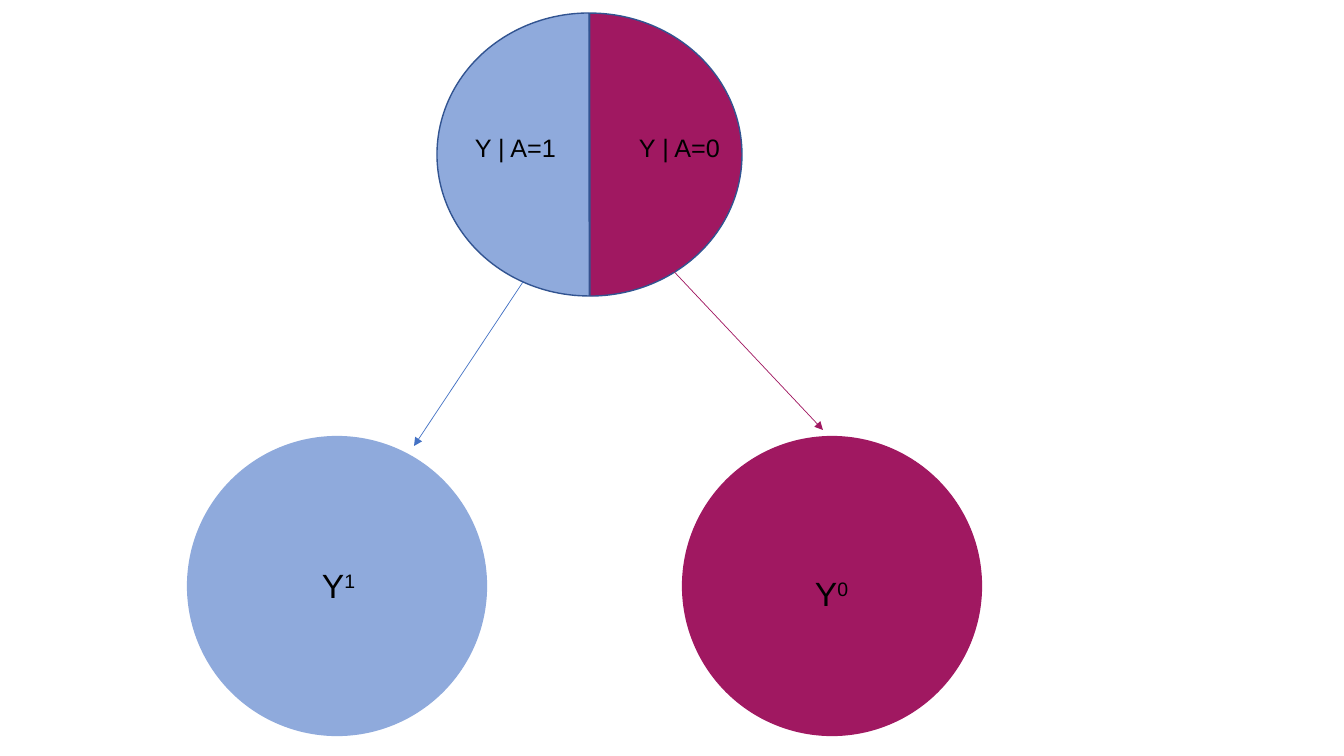
from lxml import etree
from pptx import Presentation
from pptx.dml.color import RGBColor
from pptx.enum.shapes import MSO_CONNECTOR, MSO_SHAPE
from pptx.enum.text import MSO_AUTO_SIZE
from pptx.oxml.ns import qn
from pptx.util import Emu, Pt

CHORD, OVAL = MSO_SHAPE.CHORD, MSO_SHAPE.OVAL
STRAIGHT = MSO_CONNECTOR.STRAIGHT
FIT_SHAPE = MSO_AUTO_SIZE.SHAPE_TO_FIT_TEXT

BLANK_LAYOUT = 6
EMU_PER_PX = 914400 / 100.8
BLUE, MAGENTA = "8FAADC", "A01861"
OUTLINE, ARROW_BLUE, BLACK = "325491", "4472C4", "000000"
HALF_CIRCLE = (53.92, 162)


def px(length):
    return Emu(round(length * EMU_PER_PX))


def color(hex_string):
    return RGBColor.from_string(hex_string)


def add_filled_shape(slide, kind, box, fill, line, line_width):
    shape = slide.shapes.add_shape(kind, *map(px, box))
    shape.shadow.inherit = False
    shape.fill.solid()
    shape.fill.fore_color.rgb = color(fill)
    shape.line.color.rgb = color(line)
    shape.line.width = Pt(line_width)
    return shape


def add_half(slide, left, fill, rotation):
    half = add_filled_shape(slide, CHORD, (left, 13, 304, 283), fill, OUTLINE, 1)
    half.adjustments[0], half.adjustments[1] = HALF_CIRCLE
    half.rotation = rotation


def add_label(slide, left, top, height, size, text, superscript=""):
    box = slide.shapes.add_textbox(px(left), px(top), px(126), px(height))
    frame = box.text_frame
    frame.word_wrap = True
    frame.auto_size = FIT_SHAPE
    paragraph = frame.paragraphs[0]
    paragraph.font.name = "Arial"
    paragraph.font.size = Pt(size)
    paragraph.font.color.rgb = color(BLACK)
    paragraph.add_run().text = text
    if superscript:
        run = paragraph.add_run()
        run.text = superscript
        run._r.get_or_add_rPr().set("baseline", "30000")


def add_arrow(slide, start, end, line):
    arrow = slide.shapes.add_connector(STRAIGHT, *map(px, start + end))
    arrow.line.color.rgb = color(line)
    arrow.line.width = Pt(0.5)
    etree.SubElement(arrow.line._get_or_add_ln(), qn("a:tailEnd"), type="triangle")
    etree.SubElement(arrow._element.spPr, qn("a:effectLst"))


def main():
    presentation = Presentation()
    presentation.slide_width, presentation.slide_height = px(1344), px(756)
    slide = presentation.slides.add_slide(presentation.slide_layouts[BLANK_LAYOUT])

    add_half(slide, 437, BLUE, 0)
    add_half(slide, 438, MAGENTA, 180)
    add_label(slide, 465, 127, 40, 18, "Y | A=1")
    add_label(slide, 629, 127, 40, 18, "Y | A=0")

    add_arrow(slide, (523, 282), (414, 446), ARROW_BLUE)
    for left, fill in ((189, BLUE), (684, MAGENTA)):
        add_filled_shape(slide, OVAL, (left, 438, 296, 296), fill, fill, 3)
    add_label(slide, 312, 560, 50, 24, "Y", "1")
    add_label(slide, 805, 568, 50, 24, "Y", "0")
    add_arrow(slide, (665, 262), (823, 430), MAGENTA)

    presentation.save("out.pptx")


if __name__ == "__main__":
    main()
